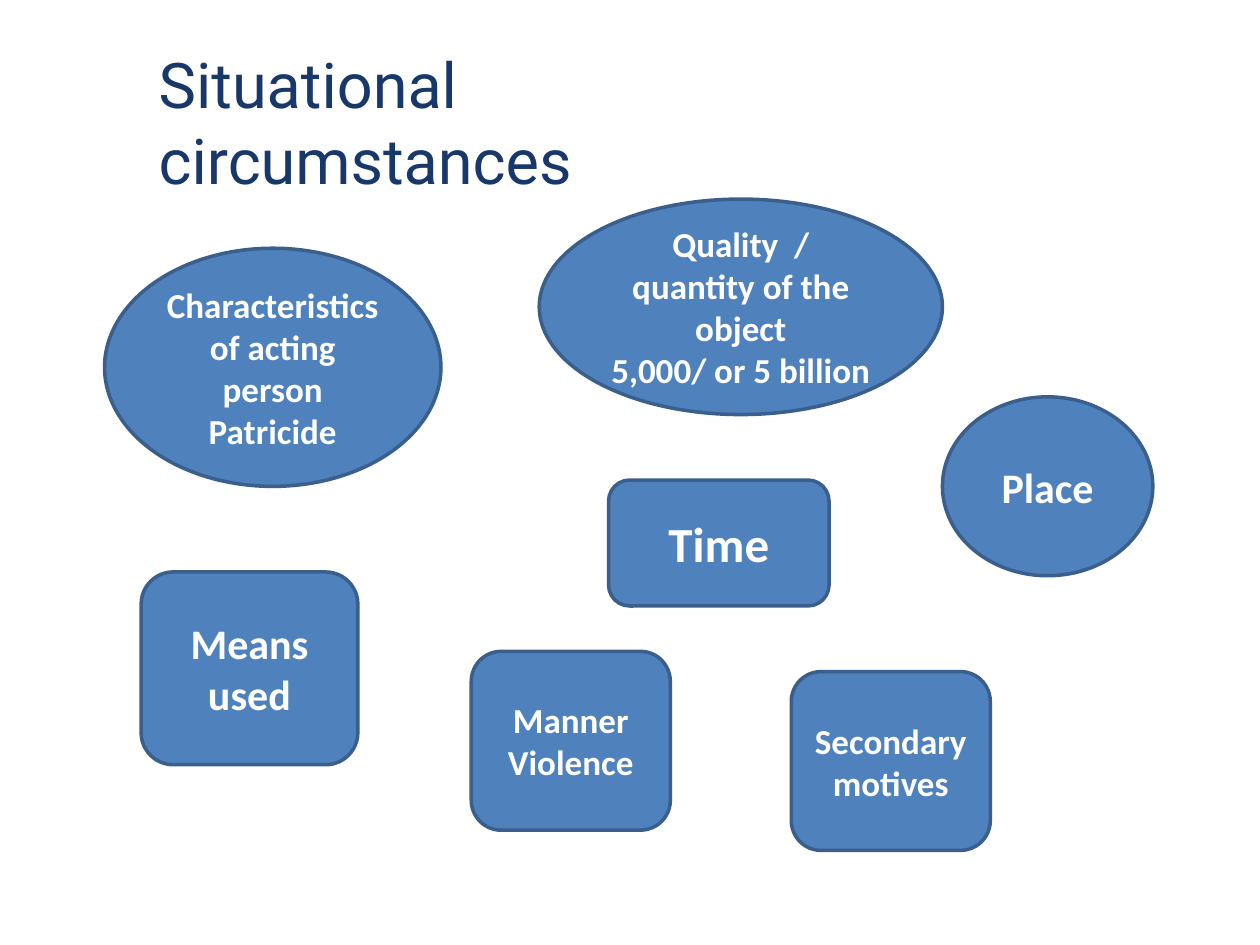
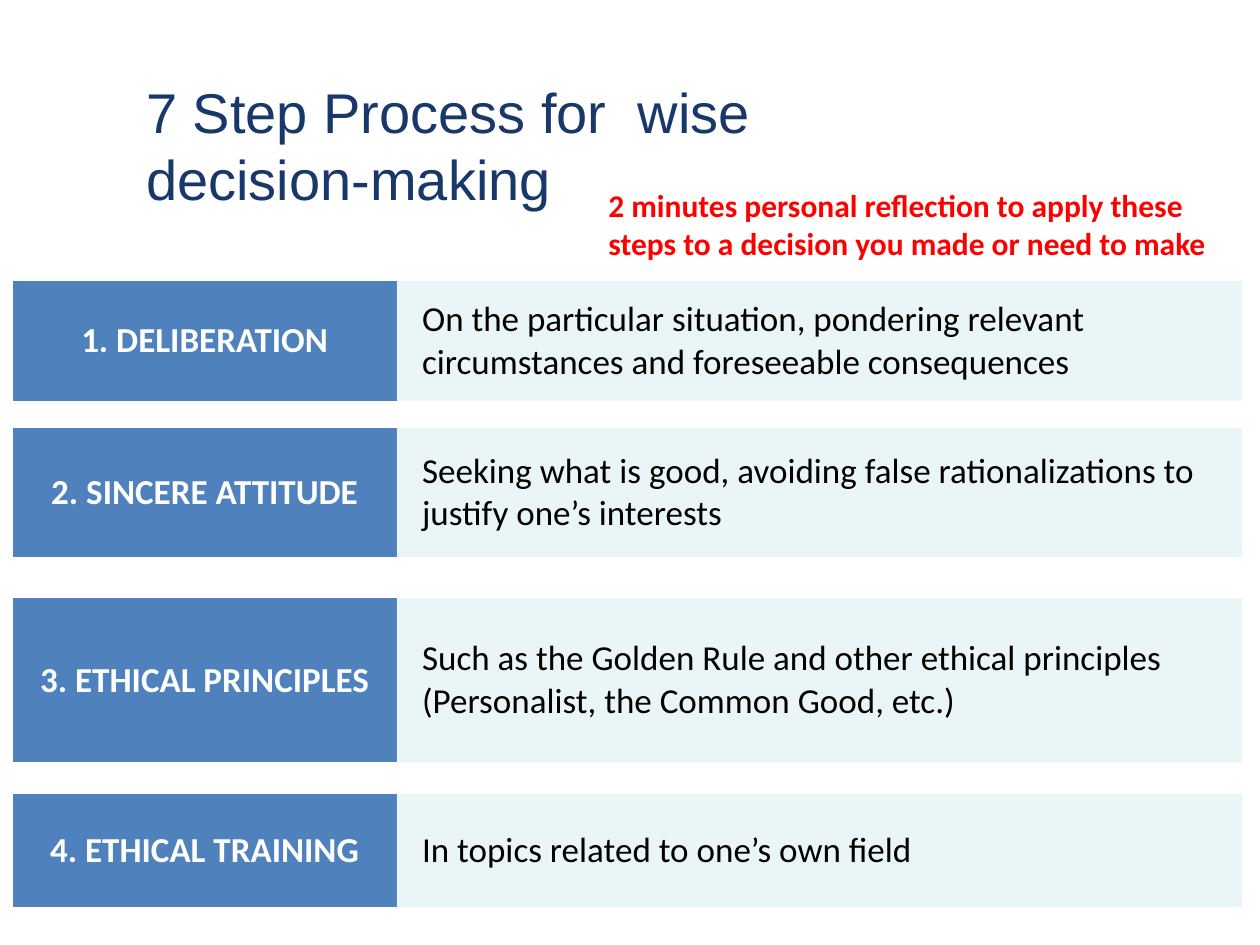
from dataclasses import dataclass

from lxml import etree
from pptx import Presentation
from pptx.dml.color import RGBColor
from pptx.enum.shapes import MSO_SHAPE
from pptx.enum.text import MSO_ANCHOR, MSO_AUTO_SIZE, PP_ALIGN
from pptx.oxml.ns import qn
from pptx.util import Inches, Pt

LEFT, CENTER = PP_ALIGN.LEFT, PP_ALIGN.CENTER
MIDDLE = MSO_ANCHOR.MIDDLE
NO_AUTOFIT = MSO_AUTO_SIZE.NONE
OVAL, ROUNDED = MSO_SHAPE.OVAL, MSO_SHAPE.ROUNDED_RECTANGLE
TITLE_ONLY = 5
PLAIN_TABLE = "{2D5ABB26-0587-4C30-8999-92F81FD0307C}"


@dataclass(frozen=True)
class Theme:
    title: str = "18376A"
    block: str = "4F81BD"
    outline: str = "3A5F8C"
    tint: str = "E0F1F4"
    tint_opacity: int = 70
    light: str = "FFFFFF"
    dark: str = "000000"
    alert: str = "FF0000"
    font: str = "Calibri"
    note_size: int = 18
    body_size: int = 20
    medium_size: int = 24
    large_size: int = 28


THEME = Theme()


@dataclass(frozen=True)
class Box:
    left: int
    top: int
    width: int
    height: int

    def inner(self, left, top, width, height):
        """Return an inner box given in percent of this one."""
        return Box(int(self.left + self.width * left / 100),
                   int(self.top + self.height * top / 100),
                   int(self.width * width / 100),
                   int(self.height * height / 100))

    def place(self):
        return self.left, self.top, self.width, self.height


def set_text(frame, text, size, color, bold=False, align=LEFT, font=THEME.font):
    frame.text = text
    for para in frame.paragraphs:
        para.alignment = align
        for span in para.runs:
            span.font.name = font
            span.font.size = Pt(size)
            span.font.bold = bold
            span.font.color.rgb = RGBColor.from_string(color)


def fill_solid(target, color):
    target.fill.solid()
    target.fill.fore_color.rgb = RGBColor.from_string(color)


def add_page(deck, title, box, font, size):
    page = deck.slides.add_slide(deck.slide_layouts[TITLE_ONLY])
    heading = page.shapes.title
    heading.left, heading.top, heading.width, heading.height = box.place()
    frame = heading.text_frame
    frame.word_wrap = True
    frame.auto_size = NO_AUTOFIT
    frame.vertical_anchor = MIDDLE
    set_text(frame, title, size, THEME.title, font=font)
    return page


def add_circumstance(page, box, kind, text, size):
    shape = page.shapes.add_shape(kind, *box.place())
    shape.shadow.inherit = False
    fill_solid(shape, THEME.block)
    shape.line.color.rgb = RGBColor.from_string(THEME.outline)
    shape.line.width = Pt(2)
    shape.text_frame.word_wrap = True
    shape.text_frame.vertical_anchor = MIDDLE
    set_text(shape.text_frame, text, size, THEME.light, True, CENTER)


def format_cell(cell, margin_left):
    cell.vertical_anchor = MIDDLE
    cell.margin_left = Inches(margin_left)
    cell.margin_right = Inches(0.05)
    cell.margin_top = cell.margin_bottom = Inches(0.03)


def add_step(page, box, name, advice):
    """Add one step as a one-row table: its name, then its advice."""
    table = page.shapes.add_table(1, 2, *box.place()).table
    table.first_row = table.horz_banding = False
    table._tbl.tblPr.find(qn("a:tableStyleId")).text = PLAIN_TABLE
    name_width = int(box.width * 0.3125)
    table.columns[0].width = name_width
    table.columns[1].width = box.width - name_width

    name_cell, advice_cell = table.cell(0, 0), table.cell(0, 1)
    format_cell(name_cell, 0.05)
    fill_solid(name_cell, THEME.block)
    set_text(name_cell.text_frame, name, THEME.body_size, THEME.light, True, CENTER)

    format_cell(advice_cell, 0.2)
    fill_solid(advice_cell, THEME.tint)
    tint = advice_cell._tc.tcPr.find(".//" + qn("a:srgbClr"))
    etree.SubElement(tint, qn("a:alpha"), val=str(THEME.tint_opacity * 1000))
    set_text(advice_cell.text_frame, advice, THEME.body_size, THEME.dark)


def add_note(page, box, text):
    note = page.shapes.add_textbox(*box.place())
    note.text_frame.word_wrap = False
    set_text(note.text_frame, text, THEME.note_size, THEME.alert, True)


def build_circumstances(deck, area):
    page = add_page(deck, "Situational circumstances",
                    area.inner(11.6, 8, 58.9, 9.73), "Roboto", 36)
    body, medium, large = THEME.body_size, THEME.medium_size, THEME.large_size
    circumstances = [
        (OVAL, (8.3, 26.27, 26.7, 25.2), body,
         "Characteristics of acting person\nPatricide"),
        (OVAL, (42.8, 21.07, 32, 22.8), body,
         "Quality  / quantity of the object\n5,000/ or 5 billion"),
        (OVAL, (74.8, 42, 16.7, 18.93), medium, "Place"),
        (ROUNDED, (11.2, 60.53, 17.2, 20.4), medium, "Means used"),
        (ROUNDED, (37.4, 68.93, 15.8, 18.93), body, "Manner\nViolence"),
        (ROUNDED, (48.3, 50.8, 17.5, 13.33), large, "Time"),
        (ROUNDED, (62.8, 71.07, 15.8, 18.93), body, "Secondary motives"),
    ]
    for kind, shares, size, text in circumstances:
        add_circumstance(page, area.inner(*shares), kind, text, size)


def build_steps(deck, area):
    page = add_page(deck, "7 Step Process for  wise\vdecision-making",
                    area.inner(10.6, 8.13, 59.4, 14.4), "Arial", 32)
    steps = [
        (29.73, 12.67, "DELIBERATION",
         "On the particular situation, pondering relevant circumstances "
         "and foreseeable consequences"),
        (45.33, 13.6, "SINCERE ATTITUDE",
         "Seeking what is good, avoiding false rationalizations "
         "to justify one’s interests"),
        (63.33, 17.33, "ETHICAL PRINCIPLES",
         "Such as the Golden Rule and other ethical principles "
         "(Personalist, the Common Good, etc.)"),
        (84, 12, "ETHICAL TRAINING", "In topics related to one’s own field"),
    ]
    for number, (top, height, name, advice) in enumerate(steps, start=1):
        add_step(page, area.inner(1, top, 97.6, height), f"{number}. {name}", advice)
    add_note(page, area.inner(47.3, 19.07, 50, 9.47),
             "2 minutes personal reflection to apply these\n"
             "steps to a decision you made or need to make")


def main():
    deck = Presentation()
    deck.slide_width, deck.slide_height = Inches(10), Inches(7.5)
    area = Box(0, 0, deck.slide_width, deck.slide_height)
    build_circumstances(deck, area)
    build_steps(deck, area)
    deck.save("out.pptx")


if __name__ == "__main__":
    main()
